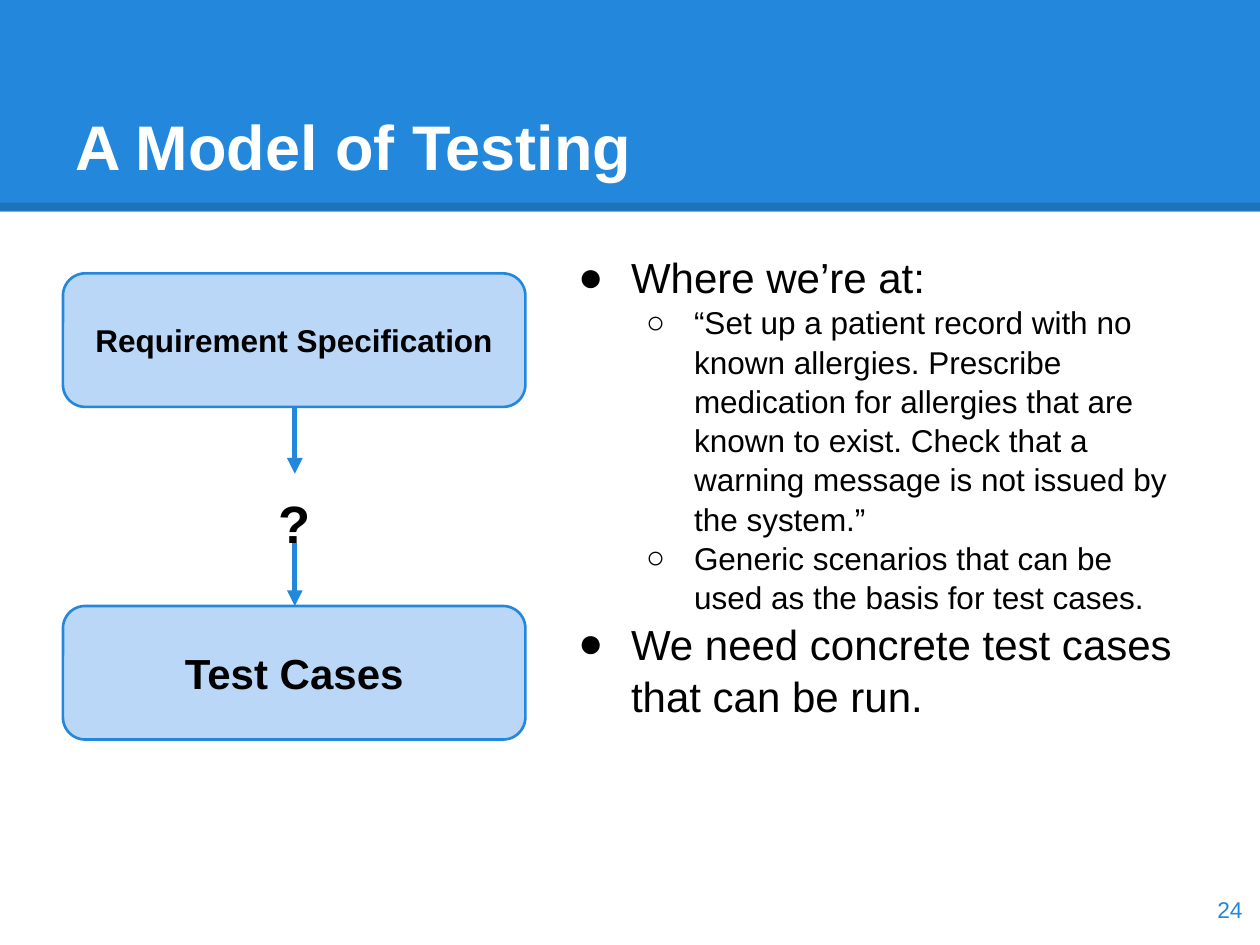
from lxml.etree import SubElement
from pptx import Presentation
from pptx.dml.color import RGBColor
from pptx.enum.shapes import MSO_CONNECTOR, MSO_SHAPE
from pptx.enum.text import MSO_ANCHOR, PP_ALIGN
from pptx.oxml.ns import qn
from pptx.util import Inches, Pt

COLORS = {
    "blue": "2388DB",
    "pale": "BBD7F8",
    "black": "000000",
    "white": "FFFFFF",
}
FONT = "Arial"
BOX_LEFT, BOX_WIDTH, BOX_HEIGHT = 0.5, 3.67, 1.06
SPEC_TOP, CASES_TOP = 2.17, 4.81
FLOW_X = 2.34

LEVELS = [
    {"bullet": "●", "size": 24, "left": 0.5, "hanging": 0.42},
    {"bullet": "○", "size": 18, "left": 1, "hanging": 0.38},
]
POINTS = [
    (0, "Where we’re at:"),
    (1, "“Set up a patient record with no known allergies. Prescribe medication "
        "for allergies that are known to exist. Check that a warning message is "
        "not issued by the system.”"),
    (1, "Generic scenarios that can be used as the basis for test cases."),
    (0, "We need concrete test cases that can be run."),
]


def rgb(name):
    return RGBColor.from_string(COLORS[name])


def prepare_frame(frame, anchor):
    frame.word_wrap = True
    frame.vertical_anchor = anchor
    frame.margin_left = frame.margin_right = Inches(0.1)
    frame.margin_top = frame.margin_bottom = Inches(0.1)


def add_run(paragraph, text, size, color="black", bold=False):
    run = paragraph.add_run()
    run.text = text
    run.font.name = FONT
    run.font.size = Pt(size)
    run.font.bold = bold
    run.font.color.rgb = rgb(color)


def add_text(slide, place, anchor=MSO_ANCHOR.TOP):
    frame = slide.shapes.add_textbox(*map(Inches, place)).text_frame
    prepare_frame(frame, anchor)
    return frame


def add_label(slide, place, text, size, color, align, anchor, bold=True, spacing=1.0):
    paragraph = add_text(slide, place, anchor).paragraphs[0]
    paragraph.alignment = align
    paragraph.line_spacing = spacing
    add_run(paragraph, text, size, color, bold)


def add_line(slide, start, end, color, width, arrow=False, opacity=None):
    line = slide.shapes.add_connector(
        MSO_CONNECTOR.STRAIGHT, *map(Inches, start + end))
    line.line.color.rgb = rgb(color)
    line.line.width = Pt(width)
    outline = line.line._get_or_add_ln()
    if opacity is not None:
        tint = outline.find(".//" + qn("a:srgbClr"))
        SubElement(tint, qn("a:alpha"), val=str(opacity * 1000))
    if arrow:
        SubElement(outline, qn("a:tailEnd"), type="triangle")
    SubElement(line._element.spPr, qn("a:effectLst"))


def add_header(slide, title):
    band = slide.shapes.add_shape(
        MSO_SHAPE.RECTANGLE, 0, 0, Inches(10), Inches(1.68))
    band.shadow.inherit = False
    band.fill.solid()
    band.fill.fore_color.rgb = rgb("blue")
    band.line.fill.background()
    add_line(slide, (0, 1.64), (10, 1.64), "black", 4.5, opacity=15)
    add_label(slide, (0.5, 0.3, 9, 1.25), title, 36, "white",
              PP_ALIGN.LEFT, MSO_ANCHOR.BOTTOM)


def add_stage(slide, top, text, size):
    stage = slide.shapes.add_shape(
        MSO_SHAPE.ROUNDED_RECTANGLE,
        *map(Inches, (BOX_LEFT, top, BOX_WIDTH, BOX_HEIGHT)))
    stage.shadow.inherit = False
    stage.fill.solid()
    stage.fill.fore_color.rgb = rgb("pale")
    stage.line.color.rgb = rgb("blue")
    stage.line.width = Pt(1.5)
    prepare_frame(stage.text_frame, MSO_ANCHOR.MIDDLE)
    paragraph = stage.text_frame.paragraphs[0]
    paragraph.alignment = PP_ALIGN.CENTER
    add_run(paragraph, text, size, bold=True)


def add_points(slide, place, points):
    frame = add_text(slide, place)
    for index, (level, text) in enumerate(points):
        style = LEVELS[level]
        paragraph = frame.add_paragraph() if index else frame.paragraphs[0]
        paragraph.level = level
        paragraph.line_spacing = 1.04
        properties = paragraph._p.get_or_add_pPr()
        properties.set("marL", str(Inches(style["left"])))
        properties.set("indent", str(-Inches(style["hanging"])))
        bullet_color = SubElement(properties, qn("a:buClr"))
        SubElement(bullet_color, qn("a:srgbClr"), val=COLORS["black"])
        SubElement(properties, qn("a:buFont"), typeface=FONT)
        SubElement(properties, qn("a:buChar"), char=style["bullet"])
        add_run(paragraph, text, style["size"])


def main():
    deck = Presentation()
    deck.slide_width, deck.slide_height = Inches(10), Inches(7.5)
    slide = deck.slides.add_slide(deck.slide_layouts[6])

    add_header(slide, "A Model of Testing")
    add_stage(slide, SPEC_TOP, "Requirement Specification", 18)
    add_stage(slide, CASES_TOP, "Test Cases", 24)
    for top, bottom in [(SPEC_TOP + BOX_HEIGHT, 3.76), (4.31, CASES_TOP)]:
        add_line(slide, (FLOW_X, top), (FLOW_X, bottom), "blue", 3, arrow=True)
    add_points(slide, (4.41, 1.88, 5.09, 5.02), POINTS)
    add_label(slide, (2.01, 3.75, 0.65, 0.53), "?", 30, "black",
              PP_ALIGN.CENTER, MSO_ANCHOR.TOP, spacing=1.1)
    add_label(slide, (9.36, 6.93, 0.6, 0.57), "24", 13, "blue",
              PP_ALIGN.RIGHT, MSO_ANCHOR.MIDDLE, bold=False)

    deck.save("out.pptx")


if __name__ == "__main__":
    main()
